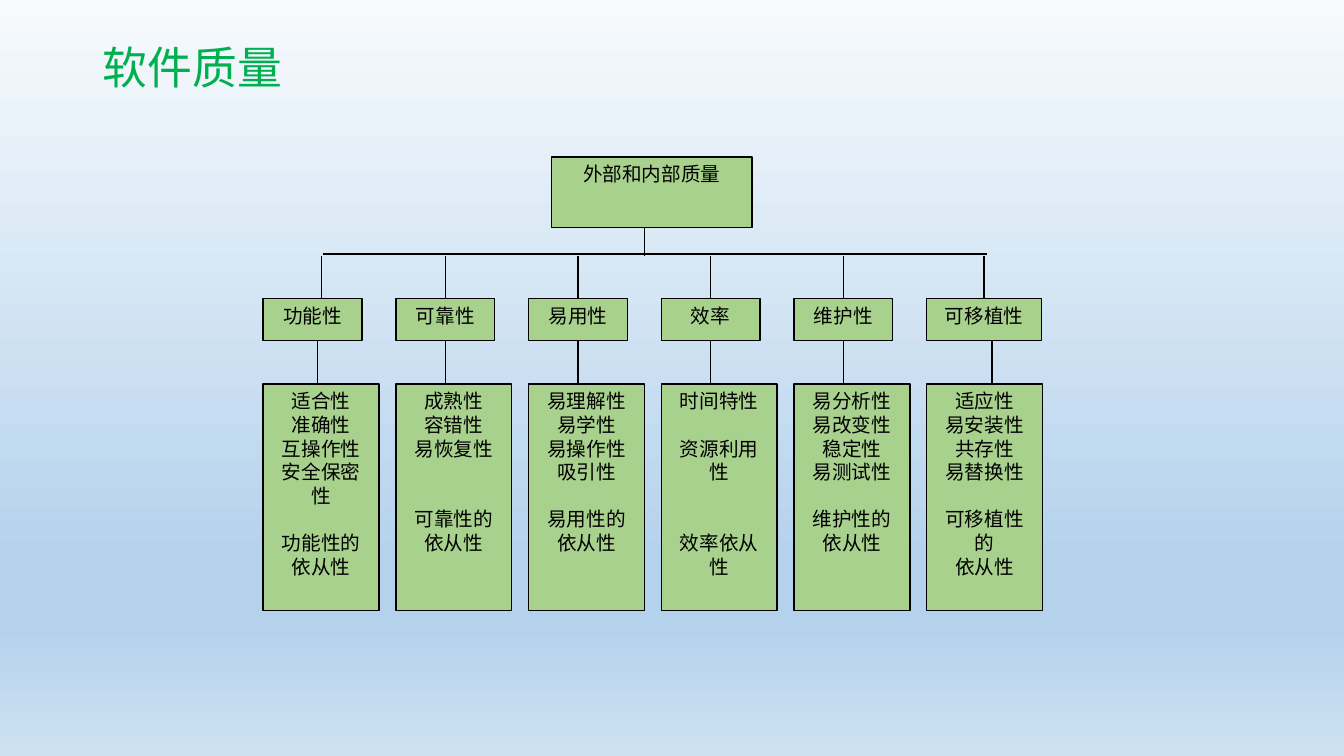
"""Build the software quality tree slide."""
from dataclasses import dataclass

from pptx import Presentation
from pptx.dml.color import RGBColor
from pptx.enum.shapes import MSO_CONNECTOR, MSO_SHAPE
from pptx.enum.text import MSO_ANCHOR, PP_ALIGN
from pptx.oxml.ns import qn
from pptx.oxml.xmlchemy import OxmlElement
from pptx.slide import Slide
from pptx.text.text import TextFrame
from pptx.util import Inches, Pt

BLACK = RGBColor(0x00, 0x00, 0x00)
TITLE_GREEN = RGBColor(0x00, 0xB0, 0x50)
BOX_GREEN = RGBColor(0xA9, 0xD1, 0x8E)
SKY_STOPS = (
    (0, RGBColor(0xF7, 0xFA, 0xFD)),
    (74, RGBColor(0xB5, 0xD2, 0xEC)),
    (83, RGBColor(0xB5, 0xD2, 0xEC)),
    (100, RGBColor(0xCE, 0xE1, 0xF2)),
)
LATIN_FONT = "Times New Roman"
CHINESE_FONT = "Noto Sans CJK SC"
LINE_POINTS = 16.9

FIRST_LEFT, LAST_LEFT = 2.61, 9.19
HEAD_WIDTH, DETAIL_WIDTH = 0.98, 1.15
HEAD_TOP, HEAD_HEIGHT = 2.96, 0.42
DETAIL_TOP, DETAIL_HEIGHT = 3.81, 2.25
BAR_TOP = 2.52


@dataclass(frozen=True)
class Quality:
    """A characteristic, its traits, and the blank lines left before some traits."""

    name: str
    traits: tuple[str, ...]
    gaps: dict[int, int]
    head_width: float = HEAD_WIDTH
    upper_shift: float = 0
    lower_shift: float = 0


QUALITIES = (
    Quality("功能性", ("适合性", "准确性", "互操作性", "安全保密性", "功能性的", "依从性"),
            {4: 1}, upper_shift=0.09, lower_shift=0.05),
    Quality("可靠性", ("成熟性", "容错性", "易恢复性", "可靠性的", "依从性"), {3: 2}),
    Quality("易用性", ("易理解性", "易学性", "易操作性", "吸引性", "易用性的", "依从性"), {4: 1}),
    Quality("效率", ("时间特性", "资源利用性", "效率依从性"), {1: 1, 2: 2}),
    Quality("维护性", ("易分析性", "易改变性", "稳定性", "易测试性", "维护性的", "依从性"), {4: 1}),
    Quality("可移植性", ("适应性", "易安装性", "共存性", "易替换性", "可移植性的", "依从性"),
            {4: 1}, head_width=1.14, upper_shift=0.08, lower_shift=0.16),
)


def write_text(frame: TextFrame, lines: tuple[str, ...], *, size: float = 14,
               color: RGBColor = BLACK, font: str = LATIN_FONT,
               align: PP_ALIGN = PP_ALIGN.CENTER, spacing: float | Pt = Pt(LINE_POINTS),
               gaps: dict[int, int] | None = None) -> None:
    """Write one paragraph per line, with the given format and gaps."""
    frame.word_wrap = True
    frame.vertical_anchor = MSO_ANCHOR.TOP
    for index, line in enumerate(lines):
        para = frame.paragraphs[0] if index == 0 else frame.add_paragraph()
        para.alignment = align
        para.line_spacing = spacing
        para.space_before = Pt(LINE_POINTS * (gaps or {}).get(index, 0))
        span = para.add_run()
        span.text = line
        span.font.size = Pt(size)
        span.font.name = font
        span.font.color.rgb = color
        east_asian = OxmlElement("a:ea")
        east_asian.set("typeface", CHINESE_FONT)
        span.font._element.find(qn("a:latin")).addnext(east_asian)


def add_box(page: Slide, left: float, top: float, width: float, height: float,
            lines: tuple[str, ...], gaps: dict[int, int] | None = None) -> None:
    """Add a green outlined box with centred lines."""
    box = page.shapes.add_shape(MSO_SHAPE.RECTANGLE, Inches(left), Inches(top),
                                Inches(width), Inches(height))
    box.shadow.inherit = False
    box.fill.solid()
    box.fill.fore_color.rgb = BOX_GREEN
    box.line.color.rgb = BLACK
    box.line.width = Pt(1)
    write_text(box.text_frame, lines, gaps=gaps)


def add_line(page: Slide, left: float, top: float, right: float, bottom: float) -> None:
    """Add a thin black line without a shadow."""
    line = page.shapes.add_connector(MSO_CONNECTOR.STRAIGHT, Inches(left), Inches(top),
                                     Inches(right), Inches(bottom))
    line.line.color.rgb = BLACK
    line.line.width = Pt(1)
    line._element.spPr.append(OxmlElement("a:effectLst"))


def paint_background(page: Slide) -> None:
    """Fill the page with the vertical sky gradient."""
    fill = page.background.fill
    fill.gradient()
    fill.gradient_angle = 270
    stop_list = next(page._element.iter(qn("a:gsLst")))
    for stop in list(stop_list):
        stop_list.remove(stop)
    for percent, color in SKY_STOPS:
        stop = OxmlElement("a:gs")
        stop.set("pos", str(percent * 1000))
        shade = OxmlElement("a:srgbClr")
        shade.set("val", str(color))
        stop.append(shade)
        stop_list.append(stop)


def add_quality(page: Slide, quality: Quality, left: float) -> None:
    """Add one column of the tree with its two lines."""
    center = left + HEAD_WIDTH / 2
    upper = center + quality.upper_shift
    lower = center + quality.lower_shift
    add_box(page, left, HEAD_TOP, quality.head_width, HEAD_HEIGHT, (quality.name,))
    add_box(page, left, DETAIL_TOP, DETAIL_WIDTH, DETAIL_HEIGHT, quality.traits, quality.gaps)
    add_line(page, upper, BAR_TOP + 0.02, upper, HEAD_TOP)
    add_line(page, lower, HEAD_TOP + HEAD_HEIGHT, lower, DETAIL_TOP)


def main() -> None:
    """Build and save the deck."""
    deck = Presentation()
    deck.slide_width, deck.slide_height = Inches(13.33), Inches(7.5)
    page = deck.slides.add_slide(deck.slide_layouts[6])
    paint_background(page)
    title = page.shapes.add_textbox(Inches(0.92), Inches(0.4), Inches(11.5), Inches(1.02))
    write_text(title.text_frame, ("软件质量",), size=32, color=TITLE_GREEN,
               font=CHINESE_FONT, align=PP_ALIGN.LEFT, spacing=0.9)
    add_box(page, 5.47, 1.56, 1.99, 0.7, ("外部和内部质量",))
    add_line(page, 6.39, 2.26, 6.39, BAR_TOP + 0.02)
    add_line(page, 3.2, BAR_TOP, 9.79, BAR_TOP)
    pitch = (LAST_LEFT - FIRST_LEFT) / (len(QUALITIES) - 1)
    for index, quality in enumerate(QUALITIES):
        add_quality(page, quality, FIRST_LEFT + index * pitch)
    deck.save("out.pptx")


main()
